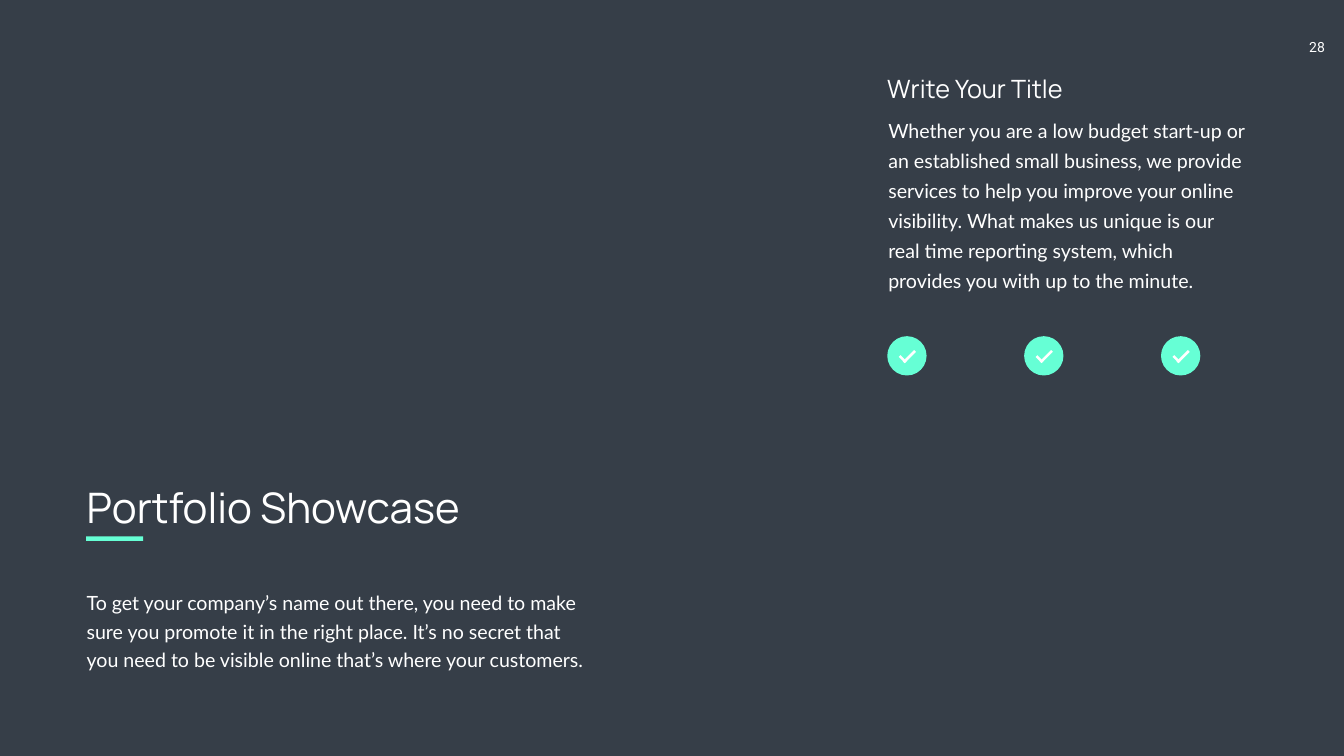
from pptx import Presentation
from pptx.dml.color import RGBColor
from pptx.enum.shapes import MSO_SHAPE as SHAPE
from pptx.enum.text import MSO_ANCHOR as ANCHOR, MSO_AUTO_SIZE as AUTO, PP_ALIGN as ALIGN
from pptx.util import Inches, Pt

COLORS = {"background": "363E48", "accent": "66FFD5", "text": "FFFFFF"}
WIDTH, HEIGHT = 26.66, 15
LEFT_COL, RIGHT_COL = 1.62, 17.5
CHECK_LEFT, CHECK_TOP, CHECK_STEP, CHECK_SIZE = 17.6, 6.67, 2.715, 0.78


def color(name):
    return RGBColor.from_string(COLORS[name])


def place(s, x, y, w, h):
    s.left, s.top, s.width, s.height = (Inches(v) for v in (x, y, w, h))


def write(s, text, font, size, line=None, align=ALIGN.LEFT, inset=(0.1, 0.05)):
    """Fill a text shape with one paragraph; line is the exact spacing in points."""
    tf = s.text_frame
    tf.word_wrap = True
    tf.auto_size = AUTO.NONE
    tf.vertical_anchor = ANCHOR.TOP
    tf.margin_left = tf.margin_right = Inches(inset[0])
    tf.margin_top = tf.margin_bottom = Inches(inset[1])
    p = tf.paragraphs[0]
    p.alignment = align
    if line:
        p.line_spacing = Pt(line)
    r = p.add_run()
    r.text = text
    r.font.name = font
    r.font.size = Pt(size)
    r.font.color.rgb = color("text")


def add_text(slide, box, *args, **kwargs):
    s = slide.shapes.add_textbox(*(Inches(v) for v in box))
    write(s, *args, **kwargs)


def add_title(slide, box, text):
    s = slide.shapes.title
    place(s, *box)
    write(s, text, "Manrope", 60)


def add_filled(slide, kind, box, fill, rotation=0):
    s = slide.shapes.add_shape(kind, *(Inches(v) for v in box))
    s.shadow.inherit = False
    s.fill.solid()
    s.fill.fore_color.rgb = color(fill)
    s.line.fill.background()
    s.rotation = rotation


def add_check(slide, x, y):
    """Draw a round badge with a tick made of two turned bars."""
    add_filled(slide, SHAPE.OVAL, (x, y, CHECK_SIZE, CHECK_SIZE), "accent")
    add_filled(slide, SHAPE.RECTANGLE, (x + 0.22, y + 0.43, 0.17, 0.05), "text", 45)
    add_filled(slide, SHAPE.RECTANGLE, (x + 0.28, y + 0.38, 0.32, 0.05), "text", 315)


def main():
    prs = Presentation()
    prs.slide_width, prs.slide_height = Inches(WIDTH), Inches(HEIGHT)
    slide = prs.slides.add_slide(prs.slide_layouts[5])
    slide.background.fill.solid()
    slide.background.fill.fore_color.rgb = color("background")

    add_text(slide, (25.62, 0.67, 1.01, 0.54), "28", "Roboto", 20,
             align=ALIGN.CENTER, inset=(0.2, 0.1))

    add_title(slide, (LEFT_COL, 9.51, 8.45, 1.11), "Portfolio Showcase")
    add_filled(slide, SHAPE.RECTANGLE, (LEFT_COL + 0.09, 10.64, 1.13, 0.09), "accent")
    add_text(slide, (LEFT_COL, 11.58, 10.13, 1.77),
             "To get your company’s name out there, you need to make sure you "
             "promote it in the right place. It’s no secret that you need to be "
             "visible online that’s where your customers.", "Lato", 28, line=40.8)

    add_text(slide, (RIGHT_COL, 1.4, 3.97, 0.71), "Write Your Title", "Manrope", 36)
    add_text(slide, (RIGHT_COL - 0.12, 2.1, 7.62, 3.79),
             "Whether you are a low budget start-up or an established small "
             "business, we provide services to help you improve your online "
             "visibility. What makes us unique is our real time reporting system, "
             "which provides you with up to the minute.",
             "Lato", 28, line=43, inset=(0.24, 0.12))

    for i in range(3):
        add_check(slide, CHECK_LEFT + i * CHECK_STEP, CHECK_TOP)

    prs.save("out.pptx")


if __name__ == "__main__":
    main()
